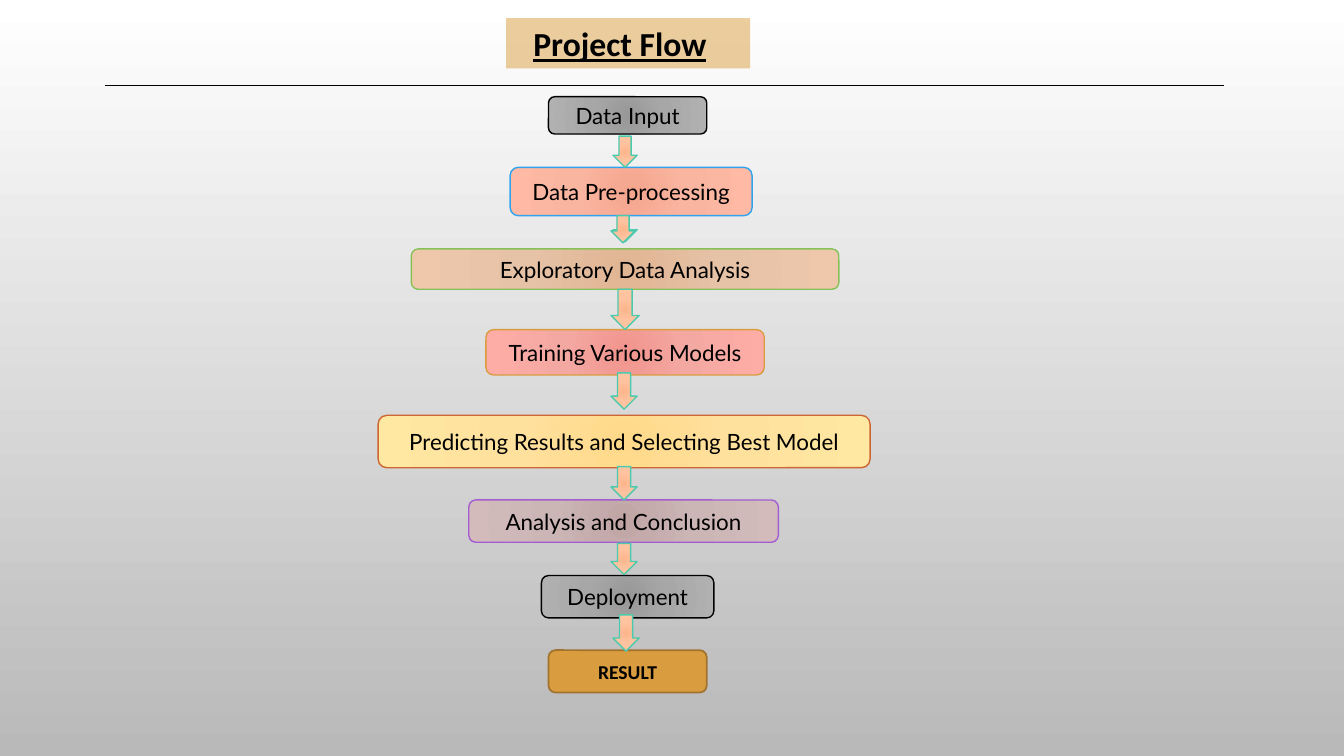
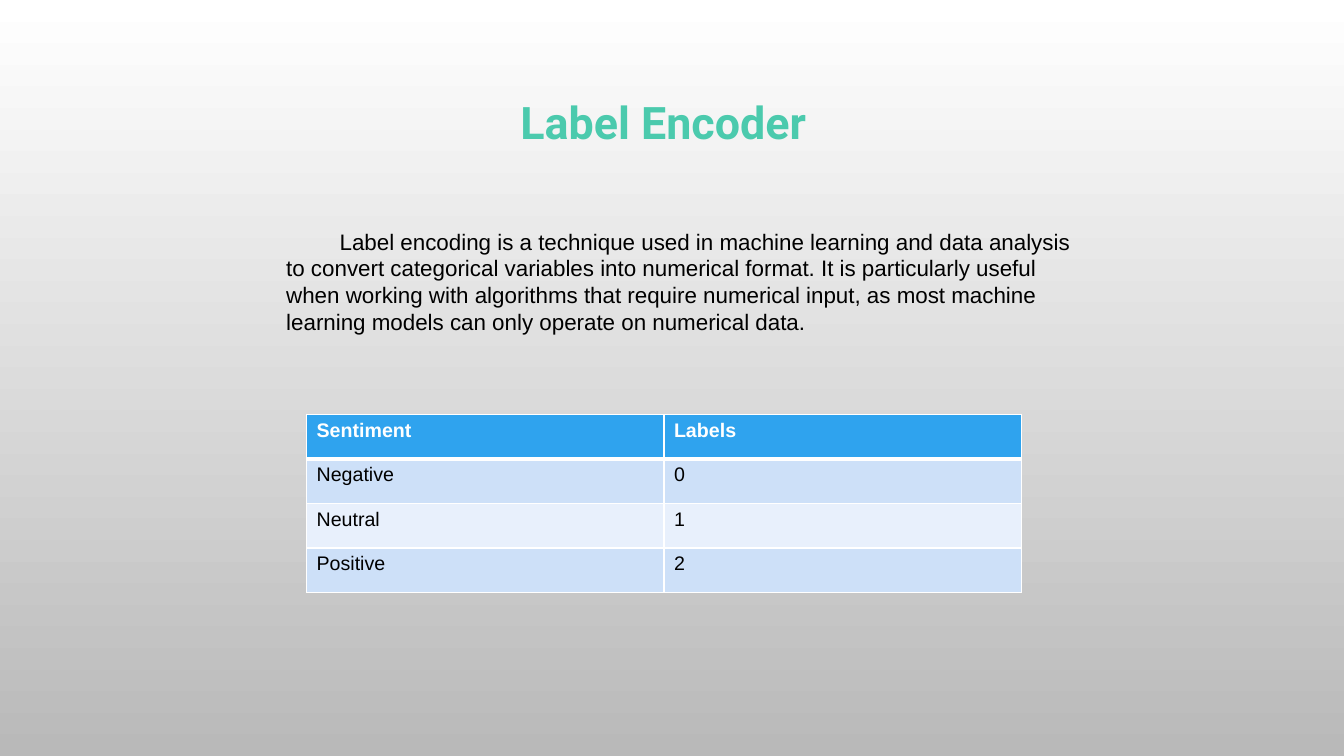
from pptx import Presentation
from pptx.dml.color import RGBColor
from pptx.enum.shapes import MSO_CONNECTOR, MSO_SHAPE
from pptx.enum.text import MSO_ANCHOR, MSO_AUTO_SIZE, PP_ALIGN
from pptx.oxml import parse_xml
from pptx.oxml.ns import qn
from pptx.util import Inches, Pt
from lxml import etree

ROUNDED, ARROW = MSO_SHAPE.ROUNDED_RECTANGLE, MSO_SHAPE.DOWN_ARROW
STRAIGHT = MSO_CONNECTOR.STRAIGHT
TOP, MIDDLE = MSO_ANCHOR.TOP, MSO_ANCHOR.MIDDLE
LEFT, CENTER = PP_ALIGN.LEFT, PP_ALIGN.CENTER
NO_AUTOFIT = MSO_AUTO_SIZE.NONE
DRAWING = "http://schemas.openxmlformats.org/drawingml/2006/main"

BLACK, WHITE = "000000", "FFFFFF"
TEAL, BLUE, GOLD = "4BCAAD", "2FA3EE", "D99C3F"
BACKDROP = (WHITE, "B9B9B9")
GRAY = ("989898", "A7A7A7", "B1B1B1")
PEACH = ("FDB58B", "FFC39F", "FFC7A3")

STEPS = [
    ("Data Input", (5.44, 0.96, 1.57, 0.37), GRAY, BLACK),
    ("Data Pre-processing", (5.06, 1.66, 2.4, 0.48), ("F5A58D", "F9B5A0", "FFB9A4"), BLUE),
    ("Exploratory Data Analysis", (4.08, 2.47, 4.24, 0.4), ("E0B594", "E6C2A6", "EFC8AC"), "86C157"),
    ("Training Various Models", (4.82, 3.27, 2.76, 0.45), ("F1958E", "F4A8A2", "FEACA6"), GOLD),
    ("Predicting Results and Selecting Best Model", (3.75, 4.12, 4.88, 0.52),
     ("FFD98A", "FFE19E", "FFE8A1"), "CE6633"),
    ("Analysis and Conclusion", (4.65, 4.96, 3.07, 0.42), ("C1A5A5", "CBB5B5", "D3BBBB"), "A35DD1"),
    ("Deployment", (5.37, 5.71, 1.71, 0.42), GRAY, BLACK),
]
RESULT = ("RESULT", (5.44, 6.45, 1.57, 0.42), GOLD, "A1732F")
ARROWS = [
    ((6.08, 1.35, 0.24, 0.31), 0.5),
    ((6.08, 2.14, 0.24, 0.26), 0),
    ((6.06, 2.14, 0.24, 0.27), 0.5),
    ((6.06, 2.87, 0.28, 0.4), 0.5),
    ((6.06, 3.7, 0.26, 0.36), 0.5),
    ((6.06, 4.63, 0.26, 0.33), 0.5),
    ((6.06, 5.39, 0.26, 0.31), 0.5),
    ((6.08, 6.1, 0.26, 0.36), 0.5),
]
DEFINITION = (
    "Label encoding is a technique used in machine learning and data analysis to convert "
    "categorical variables into numerical format. It is particularly useful when working with "
    "algorithms that require numerical input, as most machine learning models can only operate "
    "on numerical data."
)
ROWS = [("Sentiment", "Labels"), ("Negative", "0"), ("Neutral", "1"), ("Positive", "2")]
BANDS = ("E8F0FC", "CDE0F8")


def color(value):
    return RGBColor.from_string(value)


def inches(place):
    return [Inches(length) for length in place]


def write(frame, text, font, size, ink=BLACK, bold=False, align=LEFT, anchor=TOP):
    frame.text = text
    frame.word_wrap = True
    frame.auto_size = NO_AUTOFIT
    frame.vertical_anchor = anchor
    para = frame.paragraphs[0]
    para.alignment = align
    span = para.runs[0]
    span.font.name, span.font.size, span.font.bold = font, Pt(size), bold
    span.font.color.rgb = color(ink)
    return para


def glow(shape, shades):
    stops = "".join(
        f'<a:gs pos="{place * 1000}"><a:srgbClr val="{shade}"/></a:gs>'
        for place, shade in zip((0, 45, 100), shades)
    )
    shape.fill.gradient()
    properties = shape._element.spPr
    properties.replace(properties.find(qn("a:gradFill")), parse_xml(
        f'<a:gradFill xmlns:a="{DRAWING}" rotWithShape="1"><a:gsLst>{stops}</a:gsLst>'
        '<a:path path="circle"><a:fillToRect l="50000" t="50000" r="50000" b="50000"/></a:path>'
        '</a:gradFill>'))


def add_figure(page, kind, place, fill, outline, weight=1):
    shape = page.shapes.add_shape(kind, *inches(place))
    shape.shadow.inherit = False
    if isinstance(fill, tuple):
        glow(shape, fill)
    else:
        shape.fill.solid()
        shape.fill.fore_color.rgb = color(fill)
    shape.line.color.rgb = color(outline)
    shape.line.width = Pt(weight)
    return shape


def add_page(deck, title, place, **style):
    page = deck.slides.add_slide(deck.slide_layouts[5])
    box = page.shapes.title
    box.left, box.top, box.width, box.height = inches(place)
    return page, box, write(box.text_frame, title, **style)


def border(cell, widths):
    properties = cell._tc.get_or_add_tcPr()
    for index, (side, width) in enumerate(zip("LRTB", widths)):
        properties.insert(index, parse_xml(
            f'<a:ln{side} xmlns:a="{DRAWING}" w="{Pt(width)}"><a:solidFill>'
            f'<a:srgbClr val="{WHITE}"/></a:solidFill></a:ln{side}>'))


def build_flow(deck):
    page, box, para = add_page(deck, "Project Flow", (5.02, 0.18, 2.42, 0.5),
                               font="Calibri", size=24, bold=True)
    para.runs[0].font.underline = True
    box.text_frame.margin_left = Inches(0.27)
    box.fill.solid()
    box.fill.fore_color.rgb = color(GOLD)
    tint = box._element.spPr.find(".//" + qn("a:srgbClr"))
    etree.SubElement(tint, qn("a:alpha")).set("val", "50000")

    rule = page.shapes.add_connector(STRAIGHT, *inches((1.04, 0.85, 12.14, 0.85)))
    rule.line.color.rgb = color(BLACK)
    rule.line.width = Pt(1)
    etree.SubElement(rule._element.spPr, qn("a:effectLst"))

    for text, place, shades, outline in STEPS:
        step = add_figure(page, ROUNDED, place, shades, outline)
        write(step.text_frame, text, "Lato", 16, align=CENTER, anchor=MIDDLE)
    text, place, fill, outline = RESULT
    result = add_figure(page, ROUNDED, place, fill, outline, 1.25)
    write(result.text_frame, text, "Calibri", 14, bold=True, align=CENTER, anchor=MIDDLE)
    for place, shaft in ARROWS:
        arrow = add_figure(page, ARROW, place, PEACH, TEAL)
        arrow.adjustments[0] = shaft


def build_encoder(deck):
    page, box, para = add_page(deck, "Label Encoder", (3.13, 0.81, 6.9, 0.68),
                               font="Roboto", size=32, ink=TEAL, bold=True, align=CENTER)
    para.line_spacing = 1.15
    para.space_before = Pt(12)

    definition = page.shapes.add_textbox(*inches((2.74, 2.21, 8.15, 1.18)))
    para = write(definition.text_frame, DEFINITION, "Arial", 16)
    para._p.get_or_add_pPr().set("indent", str(Inches(0.53)))

    table = page.shapes.add_table(len(ROWS), 2, *inches((3.04, 4.11, 7.09, 1.77))).table
    for row, texts in enumerate(ROWS):
        header = row == 0
        for column, text in enumerate(texts):
            cell = table.cell(row, column)
            write(cell.text_frame, text, "Arial", 14, WHITE if header else BLACK, header)
            cell.fill.solid()
            cell.fill.fore_color.rgb = color(BLUE if header else BANDS[row % 2])
            border(cell, (1, 1, 3 if row == 1 else 1, 3 if header else 1))


def main():
    deck = Presentation()
    deck.slide_width, deck.slide_height = Inches(13.33), Inches(7.5)
    backdrop = deck.slide_master.background.fill
    backdrop.gradient()
    backdrop.gradient_angle = 270
    for stop, shade in zip(backdrop.gradient_stops, BACKDROP):
        stop.color.rgb = color(shade)
    build_flow(deck)
    build_encoder(deck)
    deck.save("out.pptx")


if __name__ == "__main__":
    main()
